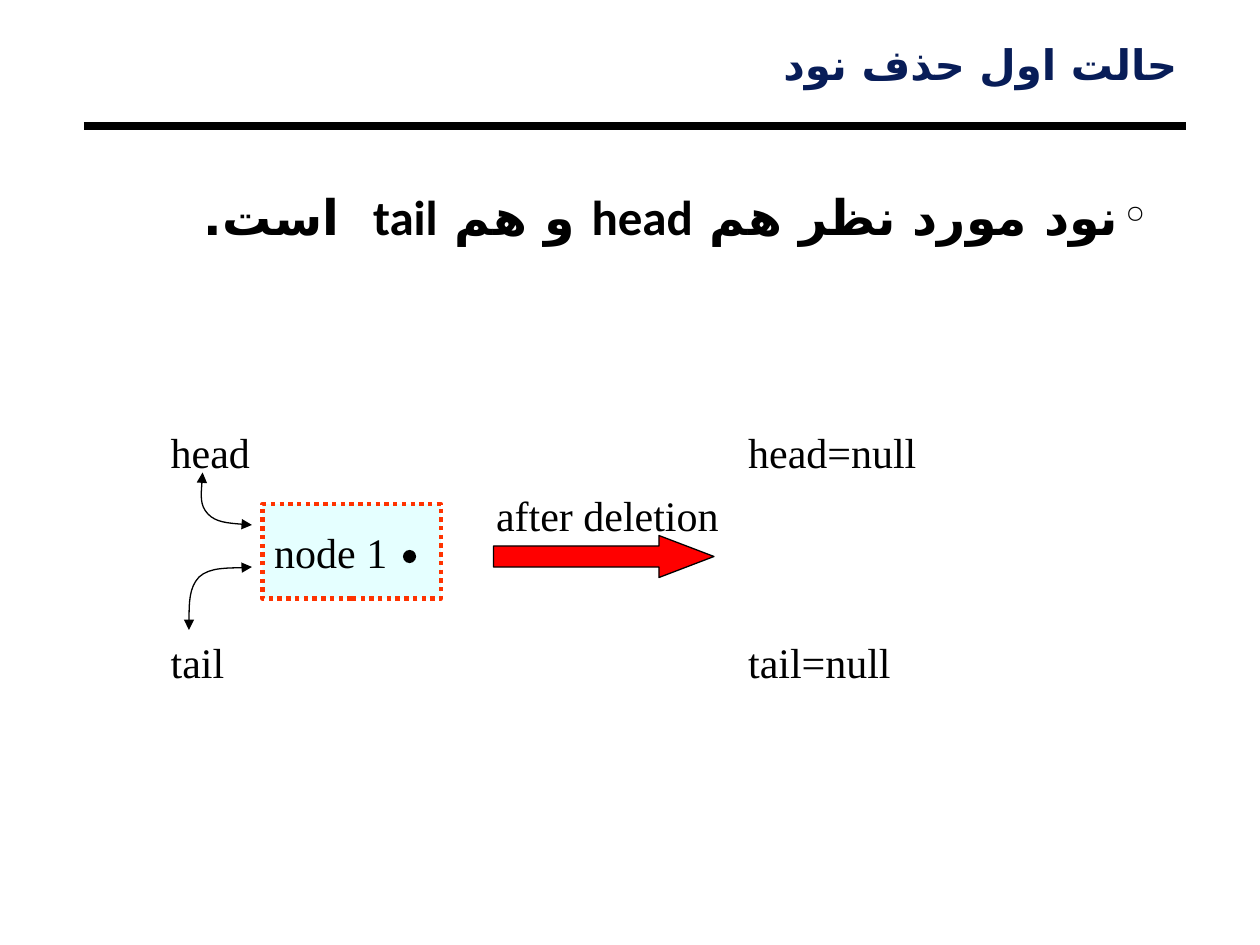
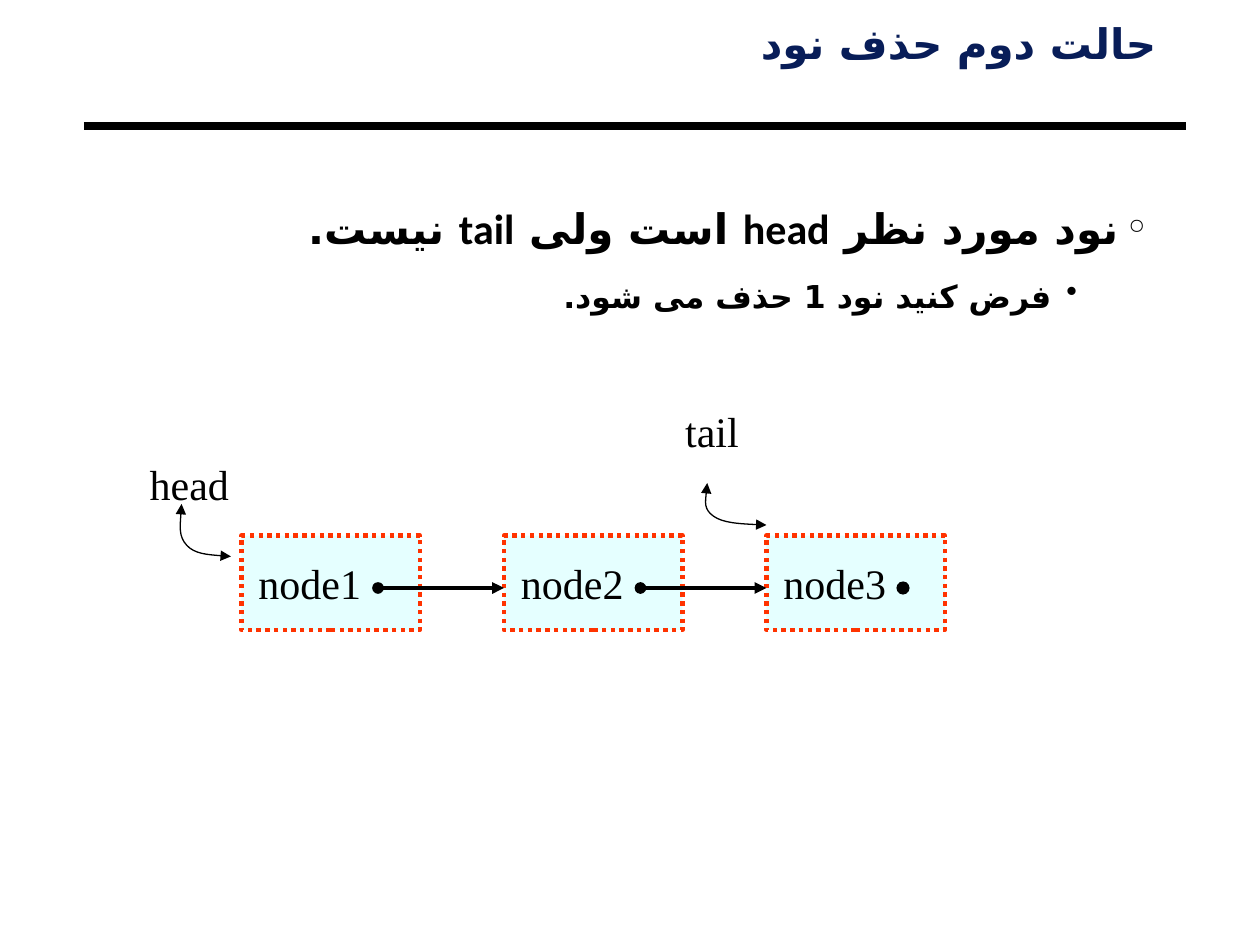
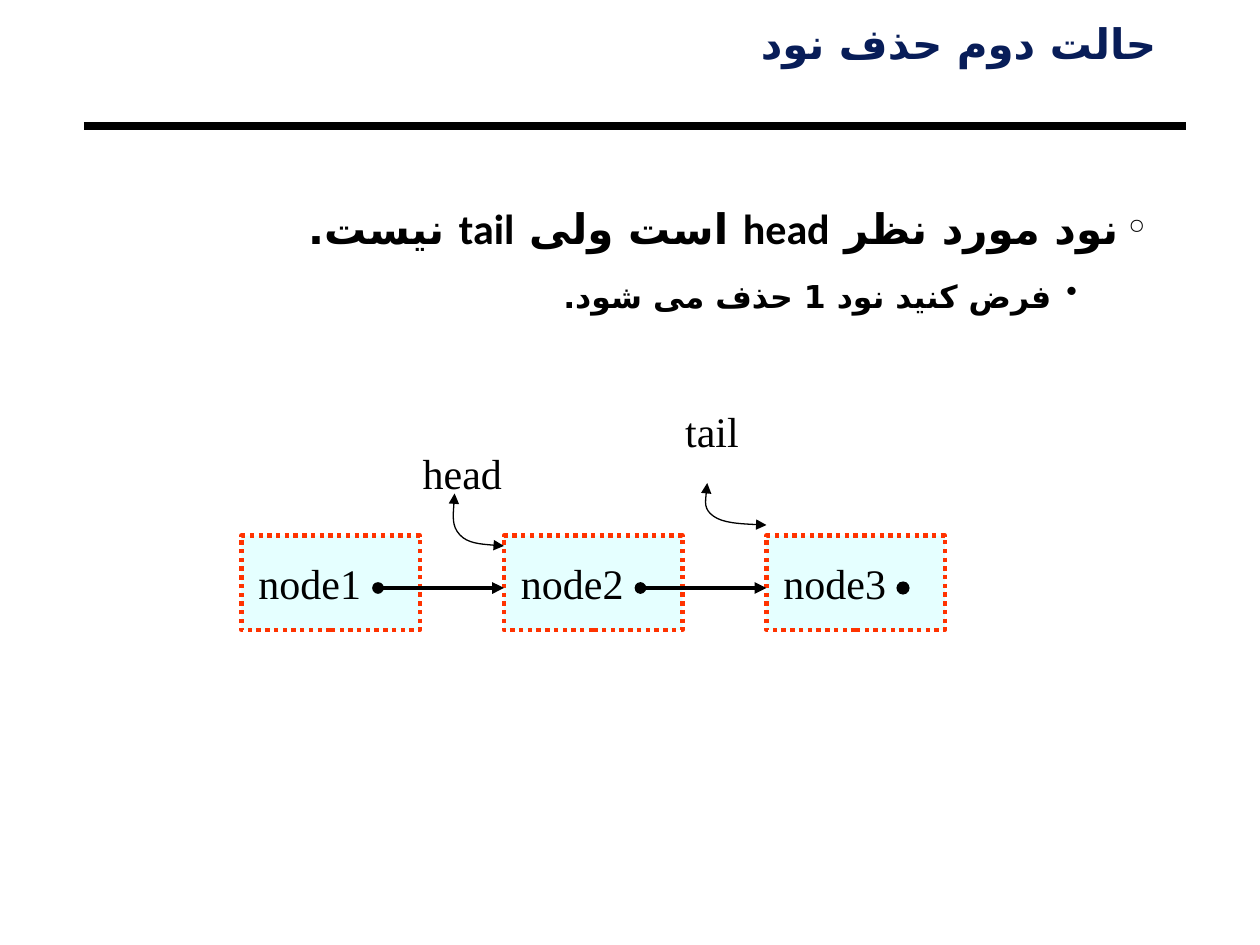
from lxml.etree import SubElement
from pptx import Presentation
from pptx.dml.color import RGBColor
from pptx.enum.dml import MSO_LINE
from pptx.enum.shapes import MSO_CONNECTOR, MSO_SHAPE
from pptx.enum.text import MSO_ANCHOR, PP_ALIGN
from pptx.oxml.ns import qn
from pptx.util import Pt

PX = 9525
INK = {
    "black": "000000",
    "navy": "081D58",
    "aqua": "CCFFFF",
    "orange": "FF3300",
    "red": "FF0000",
}
SERIF = "Times New Roman"
SCRIPT = "DejaVu Sans"
SNUG = (7, 3, 7, 3)
DOWN = [(6, 0), (4, 31), (0, 62), (16, 79), (31, 95), (66, 98), (100, 100)]
UP = [(0, 100), (0, 66), (0, 33), (16, 16), (33, 0), (86, 2), (100, 0)]


def write(frame, text, size=24, font=SERIF, ink="black", bold=False,
          align=PP_ALIGN.LEFT, rtl=False, space=None, before=0,
          mark=None, dent=(0, 0), level=0, pad=(10, 5, 10, 5), wrap=True):
    frame.word_wrap = wrap
    frame.margin_left, frame.margin_top, frame.margin_right, frame.margin_bottom = [
        n * PX for n in pad]
    para = frame.add_paragraph() if frame.text else frame.paragraphs[0]
    para.alignment, para.level = align, level
    para.line_spacing, para.space_before = space, Pt(before)
    props = para._p.get_or_add_pPr()
    if mark:
        props.set("marL", str(dent[0] * PX))
        props.set("indent", str(dent[1] * PX))
        tint = SubElement(props, qn("a:buClr"))
        SubElement(tint, qn("a:srgbClr"), val=INK["black"])
        SubElement(props, qn("a:buChar"), char=mark)
    run = para.add_run()
    run.text = text
    run.font.size, run.font.name, run.font.bold = Pt(size), font, bold
    run.font.color.rgb = RGBColor.from_string(INK[ink])
    if rtl:
        props.set("rtl", "1")
        SubElement(run._r.get_or_add_rPr(), qn("a:cs"), typeface=SCRIPT)


def trace(shape, width, head="none", tail="none"):
    shape.line.color.rgb = RGBColor.from_string(INK["black"])
    shape.line.width = Pt(width)
    props = shape.element.spPr
    line = props.get_or_add_ln()
    SubElement(line, qn("a:headEnd"), type=head)
    SubElement(line, qn("a:tailEnd"), type=tail)
    SubElement(props, qn("a:effectLst"))


second = {
    "title": "حالت دوم حذف نود",
    "spot": (72, 16, 816, 40),
    "points": [
        ("نود مورد نظر head است ولی tail نیست.",
         dict(size=24, space=1.2, before=19.5, mark="°", dent=(21, -21))),
        ("فرض کنید نود 1 حذف می شود.",
         dict(size=18, space=1.2, before=9, mark="•", dent=(72, -20), level=1)),
    ],
    "nodes": ["node1", "node2", "node3"],
    "start": (184, 408),
    "dot": 104,
}
tail = ("tail", 512, 304, 112)
hook = (DOWN, 536, 368, 48, 32)
plan = [
    {
        "title": "حالت اول حذف نود",
        "spot": (72, 32, 832, 40),
        "points": [
            ("نود مورد نظر هم head و هم tail  است.",
             dict(size=28, space=0.9, before=22.8, mark="°", dent=(21, -21))),
        ],
        "nodes": ["node 1"],
        "start": (200, 384),
        "dot": 112,
        "labels": [
            ("head", 120, 320, 112),
            ("tail", 120, 480, 112),
            ("head=null", 560, 320, 160),
            ("tail=null", 560, 480, 168),
            ("after deletion", 368, 368, 192),
        ],
        "hooks": [(DOWN, 152, 360, 40, 40), (UP, 144, 432, 48, 48)],
        "arrow": (376, 408, 168, 32),
    },
    second | {
        "labels": [tail, ("head", 104, 344, 112)],
        "hooks": [hook, (DOWN, 136, 384, 40, 40)],
    },
    second | {
        "labels": [tail, ("head", 312, 336, 112)],
        "hooks": [hook, (DOWN, 344, 376, 40, 40)],
    },
]

deck = Presentation()
deck.slide_width, deck.slide_height = 960 * PX, 720 * PX

for item in plan:
    shapes = deck.slides.add_slide(deck.slide_layouts[6]).shapes

    rule = shapes.add_connector(
        MSO_CONNECTOR.STRAIGHT, 64 * PX, 96 * PX, 904 * PX, 96 * PX)
    trace(rule, 4.5)

    title = shapes.add_textbox(*[n * PX for n in item["spot"]])
    write(title.text_frame, item["title"], font="Roboto", ink="navy", bold=True,
          align=PP_ALIGN.RIGHT, rtl=True, space=0.87, pad=SNUG)

    body = shapes.add_textbox(
        64 * PX, 144 * PX, 816 * PX, (48 * len(item["points"])) * PX)
    for text, style in item["points"]:
        write(body.text_frame, text, font="Calibri", bold=True,
              align=PP_ALIGN.RIGHT, rtl=True, pad=SNUG, **style)

    left, top = item["start"]
    last = len(item["nodes"]) - 1
    for i, name in enumerate(item["nodes"]):
        x = left + 200 * i
        node = shapes.add_shape(
            MSO_SHAPE.RECTANGLE, x * PX, top * PX, 136 * PX, 72 * PX)
        node.shadow.inherit = False
        node.fill.solid()
        node.fill.fore_color.rgb = RGBColor.from_string(INK["aqua"])
        tint = node.element.spPr.find(qn("a:solidFill"))[0]
        SubElement(tint, qn("a:alpha"), val="50000")
        node.line.color.rgb = RGBColor.from_string(INK["orange"])
        node.line.width = Pt(2.5)
        node.line.dash_style = MSO_LINE.ROUND_DOT
        node.text_frame.vertical_anchor = MSO_ANCHOR.MIDDLE
        write(node.text_frame, name, align=PP_ALIGN.CENTER,
              pad=(10, 5, 42, 5), wrap=False)

    y = top + 40
    for i in range(last):
        x = left + 200 * i
        link = shapes.add_connector(
            MSO_CONNECTOR.STRAIGHT, (x + item["dot"]) * PX, y * PX,
            (x + 200) * PX, y * PX)
        trace(link, 2.25, "oval", "triangle")

    x = left + 200 * last + item["dot"]
    dot = shapes.add_shape(
        MSO_SHAPE.OVAL, (x - 5) * PX, (y - 5) * PX, 10 * PX, 10 * PX)
    dot.shadow.inherit = False
    dot.fill.solid()
    dot.fill.fore_color.rgb = RGBColor.from_string(INK["black"])
    dot.line.fill.background()

    for bend, x, y, wide, high in item["hooks"]:
        spots = [((x * 100 + wide * a) * PX // 100, (y * 100 + high * b) * PX // 100)
                 for a, b in bend]
        pen = shapes.build_freeform(*spots[0])
        pen.add_line_segments(spots[1:], close=False)
        curve = pen.convert_to_shape()
        steps = curve.element.xpath(".//a:lnTo")
        for first in (0, 3):
            steps[first].tag = qn("a:cubicBezTo")
            for step in steps[first + 1:first + 3]:
                steps[first].append(step[0])
                step.getparent().remove(step)
        curve.fill.background()
        trace(curve, 0.75, "triangle", "triangle")

    if "arrow" in item:
        arrow = shapes.add_shape(
            MSO_SHAPE.RIGHT_ARROW, *[n * PX for n in item["arrow"]])
        arrow.adjustments[0], arrow.adjustments[1] = 0.5, 1.31
        arrow.fill.solid()
        arrow.fill.fore_color.rgb = RGBColor.from_string(INK["red"])
        trace(arrow, 0.75)

    for text, x, y, wide in item["labels"]:
        label = shapes.add_textbox(x * PX, y * PX, wide * PX, 48 * PX)
        write(label.text_frame, text, before=15)

deck.save("out.pptx")
